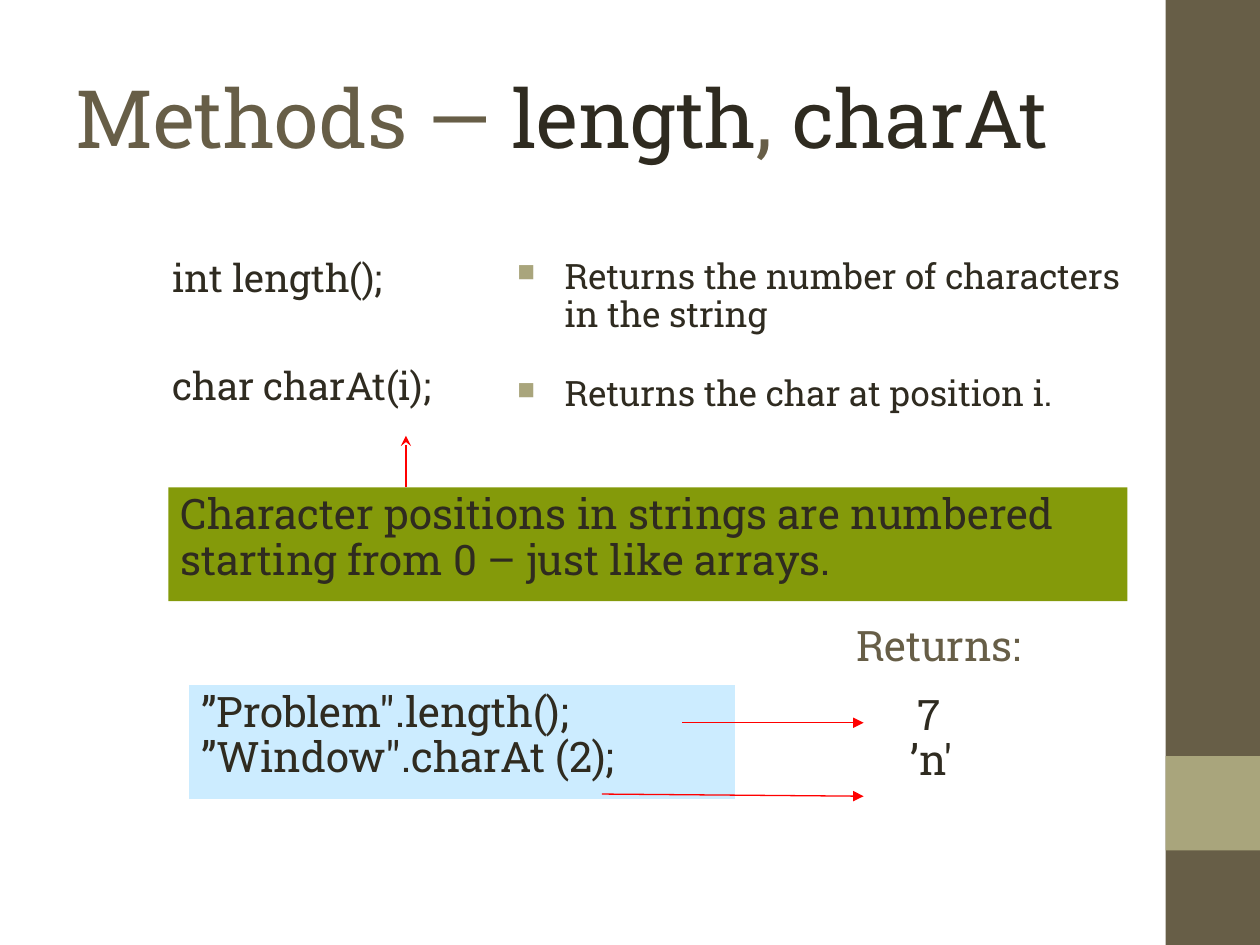
from typing import NamedTuple

from lxml.etree import SubElement
from pptx import Presentation
from pptx.dml.color import RGBColor
from pptx.enum.shapes import MSO_CONNECTOR, MSO_SHAPE
from pptx.enum.text import MSO_ANCHOR, PP_ALIGN
from pptx.oxml.ns import qn
from pptx.util import Pt

FONT = "Roboto Slab"
DARK, BROWN, TAN = "2F2B20", "675E47", "A9A57C"
GREEN, BLUE, RED = "849A0A", "CCECFF", "FF0000"


class Box(NamedTuple):
    left: float
    top: float
    width: float
    height: float
    lines: tuple[str, ...] = ()
    size: float = 24
    color: str = DARK
    fill: str = ""
    gap: float = 0
    bullet: bool = False
    align: PP_ALIGN = PP_ALIGN.LEFT
    indent: float = 0  # first line only


class Arrow(NamedTuple):
    start: tuple[float, float]
    end: tuple[float, float]
    head: str = "triangle"


BARS = (
    Box(666, 0, 54, 540, fill=BROWN),
    Box(666, 432, 54, 54, fill=TAN),
)
BOXES = (
    # Methods and what they return
    Box(91.5, 144.5, 171.5, 106, ("int length();", "char charAt(i);"), 22, gap=38),
    Box(288.5, 144.5, 371, 110,
        ("Returns the number of characters in the string",
         "Returns the char at position i."), 20, gap=24, bullet=True),
    # Sample calls and results
    Box(513.5, 393, 88, 65, ("7", "’n'"), indent=4),
    Box(108, 391.5, 312, 65,
        ("”Problem\".length();", "”Window\".charAt (2);"), fill=BLUE),
    Box(479.5, 353.5, 114, 65, ("Returns:",), color=BROWN, align=PP_ALIGN.CENTER),
    # Note on positions
    Box(96.25, 278.5, 548, 65,
        ("Character positions in strings are numbered starting from 0 "
         "– just like arrays.",), fill=GREEN),
)
ARROWS = (
    Arrow((344, 453.75), (493.5, 455)),
    Arrow((390, 413), (493.5, 413)),
    Arrow((232, 278.5), (232, 249), "stealth"),
)
TITLE = (("Methods — ", BROWN), ("length", DARK), (", ", BROWN), ("charAt", DARK))


def rgb(code: str) -> RGBColor:
    return RGBColor.from_string(code)


def add_mark(para) -> None:
    """Give a paragraph a square bullet with a hanging indent."""
    props = para._p.get_or_add_pPr()
    props.set("marL", str(Pt(27)))
    props.set("indent", str(Pt(-27)))
    tint = SubElement(props, qn("a:buClr"))
    SubElement(tint, qn("a:srgbClr"), val=TAN)
    SubElement(props, qn("a:buSzPct"), val="70000")
    SubElement(props, qn("a:buChar"), char="■")


def draw_box(slide, box: Box) -> None:
    place = [Pt(n) for n in box[:4]]
    if box.fill:
        shape = slide.shapes.add_shape(MSO_SHAPE.RECTANGLE, *place)
        shape.shadow.inherit = False
        shape.fill.solid()
        shape.fill.fore_color.rgb = rgb(box.fill)
        shape.line.fill.background()
    else:
        shape = slide.shapes.add_textbox(*place)
    frame = shape.text_frame
    frame.word_wrap = True
    frame.vertical_anchor = MSO_ANCHOR.TOP
    for i, line in enumerate(box.lines):
        para = frame.add_paragraph() if i else frame.paragraphs[0]
        para.text = line
        para.alignment = box.align
        para.line_spacing = 0.9
        if i and box.gap:
            para.space_before = Pt(box.gap)
        if not i and box.indent:
            para._p.get_or_add_pPr().set("indent", str(Pt(box.indent)))
        if box.bullet:
            add_mark(para)
        para.font.name = FONT
        para.font.size = Pt(box.size)
        para.font.color.rgb = rgb(box.color)


def draw_title(slide) -> None:
    shape = slide.shapes.add_textbox(Pt(36), Pt(21.5), Pt(600), Pt(90))
    frame = shape.text_frame
    frame.word_wrap = True
    frame.vertical_anchor = MSO_ANCHOR.MIDDLE
    para = frame.paragraphs[0]
    para.font.name = FONT
    para.font.size = Pt(46)
    for text, color in TITLE:
        run = para.add_run()
        run.text = text
        run.font.color.rgb = rgb(color)


def draw_arrow(slide, arrow: Arrow) -> None:
    ends = [Pt(n) for n in arrow.start + arrow.end]
    link = slide.shapes.add_connector(MSO_CONNECTOR.STRAIGHT, *ends)
    link.line.color.rgb = rgb(RED)
    link.line.width = Pt(0.75)
    SubElement(link.line._get_or_add_ln(), qn("a:tailEnd"), type=arrow.head)
    SubElement(link._element.spPr, qn("a:effectLst"))


def main() -> None:
    deck = Presentation()
    deck.slide_width, deck.slide_height = Pt(720), Pt(540)
    slide = deck.slides.add_slide(deck.slide_layouts[6])
    for bar in BARS:
        draw_box(slide, bar)
    draw_title(slide)
    for box in BOXES:
        draw_box(slide, box)
    for arrow in ARROWS:
        draw_arrow(slide, arrow)
    deck.save("out.pptx")


if __name__ == "__main__":
    main()
